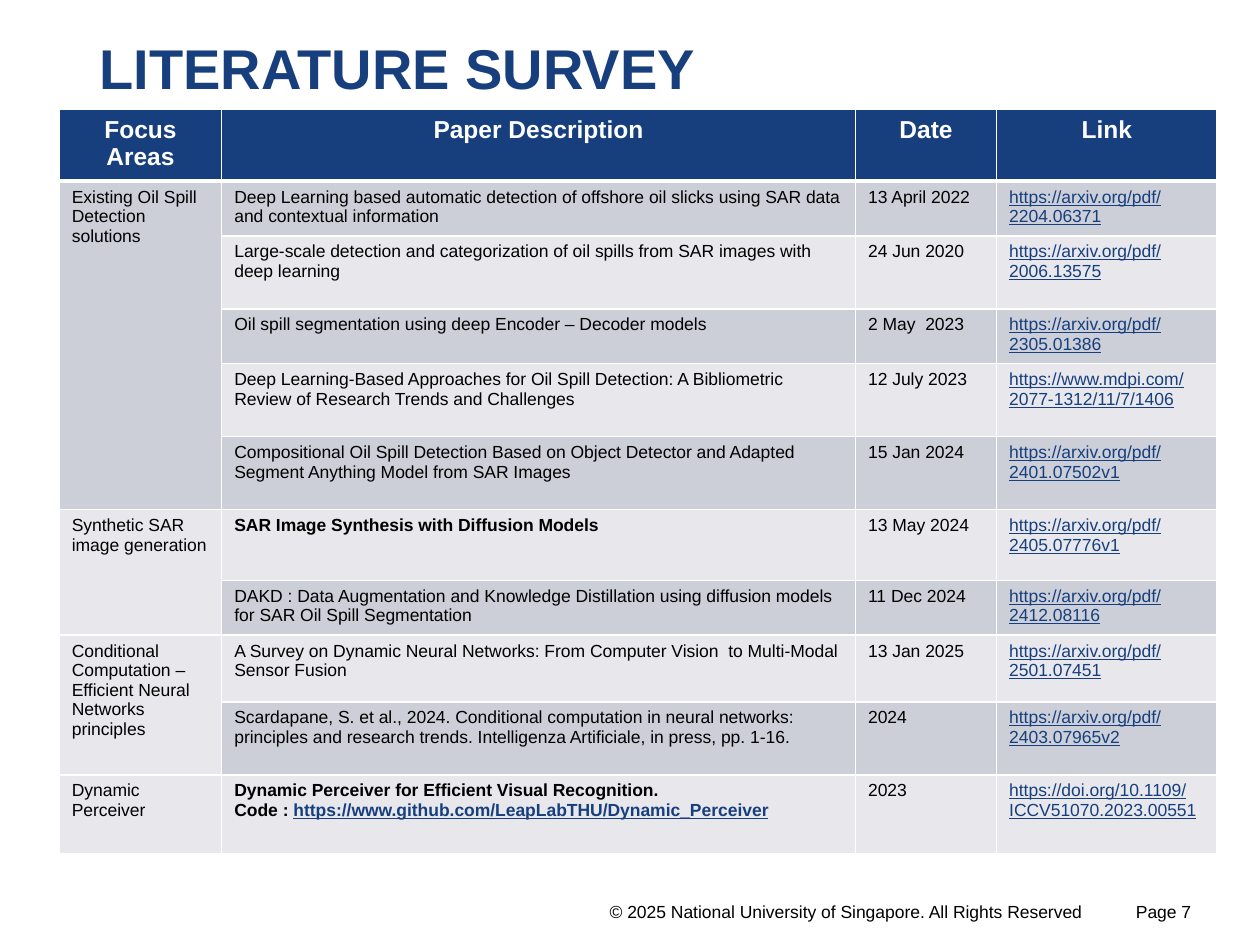
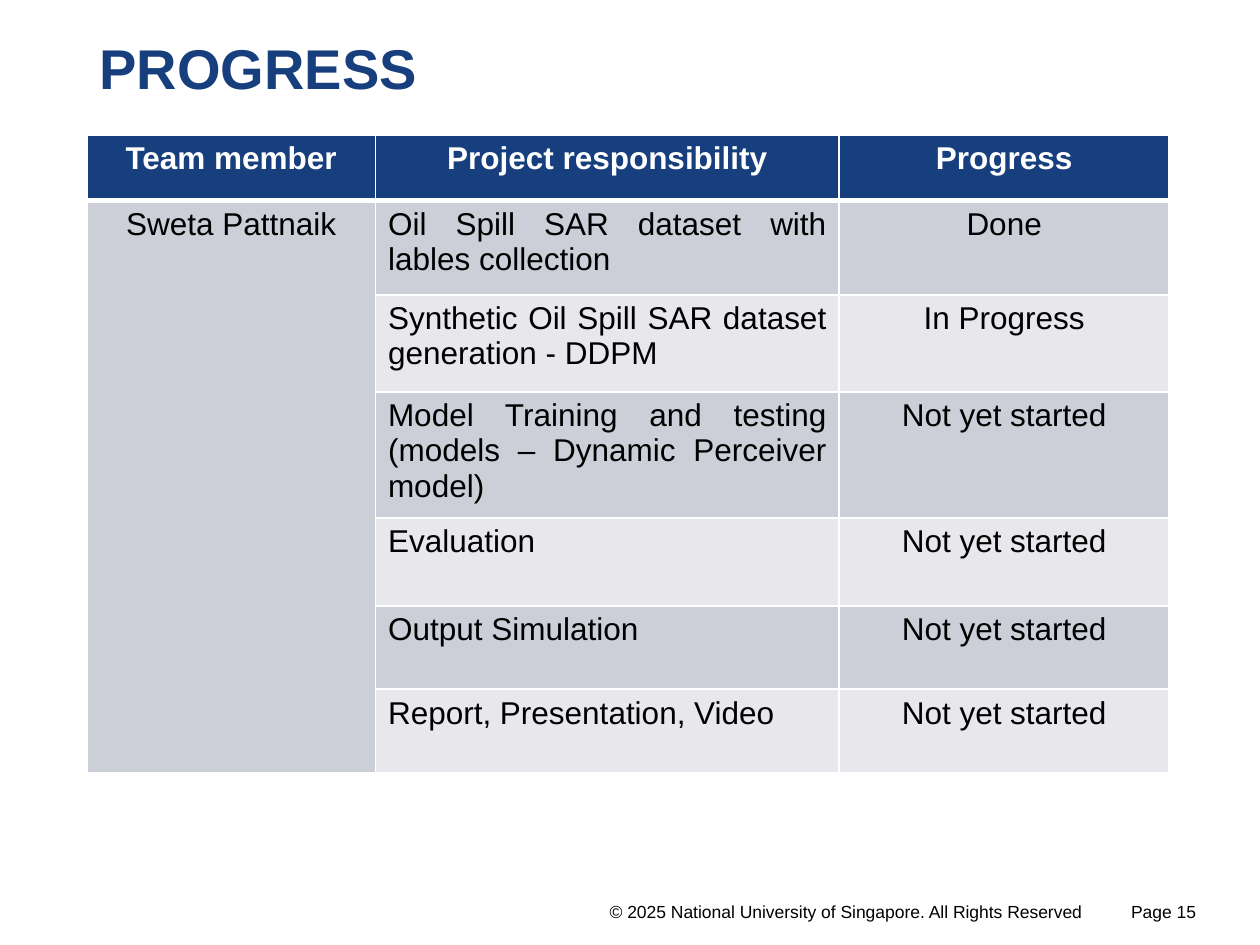
from pptx import Presentation
from pptx import util as u
from pptx.dml.color import RGBColor
from pptx.enum import text
from pptx.oxml import parse_xml
from pptx.oxml.ns import nsdecls

NAVY = RGBColor(0x17, 0x3F, 0x7E)
DARK_BAND = RGBColor(0xCC, 0xCF, 0xD8)
LIGHT_BAND = RGBColor(0xE8, 0xE8, 0xEC)
WHITE = RGBColor(0xFF, 0xFF, 0xFF)
BLACK = RGBColor(0, 0, 0)

LEFT = text.PP_ALIGN.LEFT
CENTER = text.PP_ALIGN.CENTER
JUSTIFY = text.PP_ALIGN.JUSTIFY

COPYRIGHT = "© 2025 National University of Singapore. All Rights Reserved"
LINK_START = "https://"

# None in the first column continues the cell above.
SURVEY = [
    ("Focus Areas", "Paper Description", "Date", "Link"),
    ("Existing Oil Spill Detection solutions",
     "Deep Learning based automatic detection of offshore oil slicks using SAR data "
     "and contextual information",
     "13 April 2022", "https://arxiv.org/pdf/2204.06371"),
    (None,
     "Large-scale detection and categorization of oil spills from SAR images with "
     "deep learning",
     "24 Jun 2020", "https://arxiv.org/pdf/2006.13575"),
    (None, "Oil spill segmentation using deep Encoder – Decoder models",
     "2 May  2023", "https://arxiv.org/pdf/2305.01386"),
    (None,
     "Deep Learning-Based Approaches for Oil Spill Detection: A Bibliometric Review "
     "of Research Trends and Challenges",
     "12 July 2023", "https://www.mdpi.com/2077-1312/11/7/1406"),
    (None,
     "Compositional Oil Spill Detection Based on Object Detector and Adapted Segment "
     "Anything Model from SAR Images",
     "15 Jan 2024", "https://arxiv.org/pdf/2401.07502v1"),
    ("Synthetic SAR image generation", "SAR Image Synthesis with Diffusion Models",
     "13 May 2024", "https://arxiv.org/pdf/2405.07776v1"),
    (None,
     "DAKD : Data Augmentation and Knowledge Distillation using diffusion models for "
     "SAR Oil Spill Segmentation",
     "11 Dec 2024", "https://arxiv.org/pdf/2412.08116"),
    ("Conditional Computation – Efficient Neural Networks principles",
     "A Survey on Dynamic Neural Networks: From Computer Vision  to Multi-Modal "
     "Sensor Fusion",
     "13 Jan 2025", "https://arxiv.org/pdf/2501.07451"),
    (None,
     "Scardapane, S. et al., 2024. Conditional computation in neural networks: "
     "principles and research trends. Intelligenza Artificiale, in press, pp. 1-16.",
     "2024", "https://arxiv.org/pdf/2403.07965v2"),
    ("Dynamic Perceiver",
     "Dynamic Perceiver for Efficient Visual Recognition.\n"
     "Code : https://www.github.com/LeapLabTHU/Dynamic_Perceiver",
     "2023", "https://doi.org/10.1109/ICCV51070.2023.00551"),
]
KEY_PAPERS = {(6, 1), (10, 1)}

PROGRESS = [
    ("Team member", "Project responsibility", "Progress"),
    ("Sweta Pattnaik", "Oil Spill SAR dataset with lables collection", "Done"),
    (None, "Synthetic Oil Spill SAR dataset generation - DDPM", "In Progress"),
    (None, "Model Training and testing (models – Dynamic Perceiver model)",
     "Not yet started"),
    (None, "Evaluation", "Not yet started"),
    (None, "Output Simulation", "Not yet started"),
    (None, "Report, Presentation, Video", "Not yet started"),
]


def format_font(font, color, **values):
    for name, value in {"name": "Arial", **values}.items():
        setattr(font, name, value)
    font.color.rgb = color


def add_run(paragraph, words, color, **values):
    run = paragraph.add_run()
    run.text = words
    format_font(run.font, color, **values)


def add_footer_text(slide, left, width, words, align):
    box = slide.shapes.add_textbox(
        u.Inches(left), u.Inches(7.1), u.Inches(width), u.Inches(0.26))
    box.text_frame.word_wrap = True
    paragraph = box.text_frame.paragraphs[0]
    paragraph.alignment = align
    add_run(paragraph, words, BLACK, size=u.Pt(10))


def add_titled_slide(prs, heading, page):
    """Add a slide with the shared title style and footer."""
    slide = prs.slides.add_slide(prs.slide_layouts[5])
    title = slide.shapes.title
    place = {"left": 0.69, "top": 0.27, "width": 7.22, "height": 0.6}
    for side, inches in place.items():
        setattr(title, side, u.Inches(inches))
    frame = title.text_frame
    frame.auto_size = text.MSO_AUTO_SIZE.NONE
    frame.vertical_anchor = text.MSO_ANCHOR.MIDDLE
    paragraph = frame.paragraphs[0]
    paragraph.alignment = LEFT
    paragraph.line_spacing = 0.9
    add_run(paragraph, heading, NAVY, size=u.Pt(32), bold=True)
    add_footer_text(slide, 4.74, 4.03, COPYRIGHT, LEFT)
    add_footer_text(slide, 8.62, 1.23, f"Page {page}", CENTER)
    return slide


def add_borders(cell, row):
    """Draw white cell borders, with a thicker rule below the header row."""
    points = {"L": 1, "R": 1, "T": 3 if row == 1 else 1, "B": 3 if row == 0 else 1}
    properties = cell._tc.get_or_add_tcPr()
    for side, width in points.items():
        properties.append(parse_xml(
            f'<a:ln{side} {nsdecls("a")} w="{u.Pt(width)}"><a:solidFill>'
            f'<a:srgbClr val="{WHITE}"/></a:solidFill></a:ln{side}>'))


def write_cell(cell, words, align, color, size, bold):
    """Write one paragraph per line, with web addresses styled as links."""
    frame = cell.text_frame
    for number, line in enumerate(words.split("\n")):
        paragraph = frame.add_paragraph() if number else frame.paragraphs[0]
        paragraph.alignment = align
        label, link_start, address = line.partition(LINK_START)
        if label:
            add_run(paragraph, label, color, size=u.Pt(size), bold=bold)
        if address:
            add_run(paragraph, link_start + address, NAVY,
                    size=u.Pt(size), bold=bold, underline=True)


def add_banded_table(slide, left, top, widths, heights, content, aligns,
                     header_size, body_size, bold_cells=()):
    frame = slide.shapes.add_table(
        len(heights), len(widths), u.Inches(left), u.Inches(top),
        u.Inches(sum(widths)), u.Inches(sum(heights)))
    table = frame.table
    for column, width in zip(table.columns, widths):
        column.width = u.Inches(width)
    for row, height in zip(table.rows, heights):
        row.height = u.Inches(height)

    group_start = 0
    for r, entries in enumerate(content):
        header = r == 0
        if entries[0] is not None:
            group_start = r
        for c, words in enumerate(entries):
            cell = table.cell(r, c)
            band_row = group_start if c == 0 else r
            band = DARK_BAND if band_row % 2 else LIGHT_BAND
            add_borders(cell, r)
            cell.fill.solid()
            cell.fill.fore_color.rgb = NAVY if header else band
            if words is not None:
                write_cell(cell, words, CENTER if header else aligns[c],
                           WHITE if header else BLACK,
                           header_size if header else body_size,
                           header or (r, c) in bold_cells)

    starts = [r for r, entries in enumerate(content) if entries[0] is not None]
    for start, following in zip(starts, starts[1:] + [len(content)]):
        if following - start > 1:
            table.cell(start, 0).merge(table.cell(following - 1, 0))


def main():
    prs = Presentation()
    prs.slide_width, prs.slide_height = u.Inches(10), u.Inches(7.5)

    survey = add_titled_slide(prs, "LITERATURE SURVEY", 7)
    add_banded_table(
        survey, 0.47, 0.87, [1.29, 5.03, 1.12, 1.75],
        [0.55, 0.42, 0.58, 0.42, 0.58, 0.58, 0.56, 0.42, 0.53, 0.58, 0.63],
        SURVEY, [LEFT] * 4, 14, 10, KEY_PAPERS)

    progress = add_titled_slide(prs, "PROGRESS", 15)
    add_banded_table(
        progress, 0.69, 1.07, [2.29, 3.68, 2.62],
        [0.52, 0.75, 0.77, 0.94, 0.7, 0.66, 0.66],
        PROGRESS, [CENTER, JUSTIFY, CENTER], 18, 18)

    prs.save("out.pptx")


if __name__ == "__main__":
    main()
